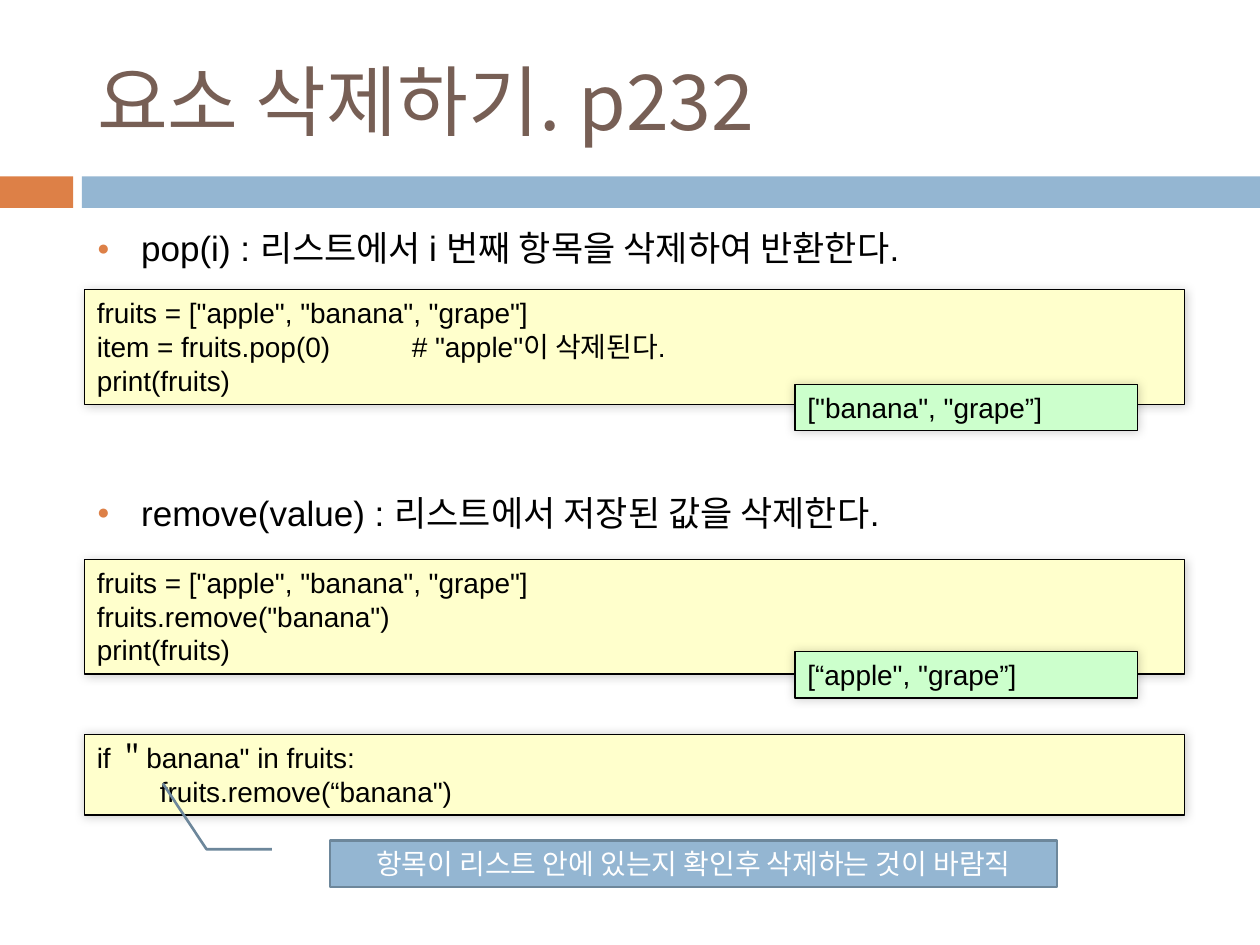
from dataclasses import dataclass

from lxml.etree import SubElement
from pptx import Presentation
from pptx.dml.color import RGBColor as Color
from pptx.enum.shapes import MSO_SHAPE as Preset
from pptx.enum.text import MSO_ANCHOR as Anchor, MSO_AUTO_SIZE as AutoSize, PP_ALIGN as Align
from pptx.oxml.ns import qn
from pptx.util import Inches, Pt


@dataclass(frozen=True)
class Theme:
    title: str = "775F55"
    accent: str = "DD8047"
    band: str = "94B6D2"
    callout_line: str = "6D879B"
    code: str = "FFFFCC"
    output: str = "CCFFCC"
    ink: str = "000000"
    paper: str = "FFFFFF"
    title_font: str = "Noto Sans CJK KR"
    font: str = "Arial"
    title_size: int = 44
    list_size: int = 20
    code_size: int = 16


theme = Theme()


def write(shape, text, font, size, color, **paragraph_format):
    shape.text_frame.text = text
    for paragraph in shape.text_frame.paragraphs:
        for name, value in paragraph_format.items():
            setattr(paragraph, name, value)
        for run in paragraph.runs:
            for name, value in {"name": font, "size": Pt(size)}.items():
                setattr(run.font, name, value)
            run.font.color.rgb = Color.from_string(color)


def add_box(preset, place, fill, line=None, line_width=0.75):
    shape = slide.shapes.add_shape(preset, *map(Inches, place))
    shape.shadow.inherit = False
    shape.fill.solid()
    shape.fill.fore_color.rgb = Color.from_string(fill)
    if line:
        shape.line.color.rgb = Color.from_string(line)
        shape.line.width = Pt(line_width)
    else:
        shape.line.fill.background()
    return shape


presentation = Presentation()
presentation.slide_width, presentation.slide_height = Inches(10), Inches(7.5)
slide = presentation.slides.add_slide(presentation.slide_layouts[1])

# Columns and rows, in inches
left, code_width = 0.67, 8.73
output_left, output_width = 6.31, 2.72
line_height, padding = 0.27, 0.1
band_top, band_height, band_left = 1.4, 0.25, 0.65

add_box(Preset.RECTANGLE, (0, band_top, 0.58, band_height), theme.accent)
add_box(Preset.RECTANGLE, (band_left, band_top, 10 - band_left, band_height), theme.band)

title, body = slide.placeholders
for placeholder, top, height, anchor in (
    (title, 0.25, 1.08, Anchor.MIDDLE),
    (body, 1.75, 4.92, Anchor.TOP),
):
    place = {"left": left, "top": top, "width": 8.92, "height": height}
    for name, value in place.items():
        setattr(placeholder, name, Inches(value))
    placeholder.text_frame.vertical_anchor = anchor
    placeholder.text_frame.auto_size = AutoSize.NONE

write(title, "요소 삭제하기. p232", theme.title_font, theme.title_size, theme.title,
      alignment=Align.LEFT)
write(body, "pop(i) : 리스트에서 i 번째 항목을 삭제하여 반환한다.\n"
            "remove(value) : 리스트에서 저장된 값을 삭제한다.",
      theme.font, theme.list_size, theme.ink)
for paragraph, space_before in zip(body.text_frame.paragraphs, (0, 127)):
    properties = paragraph._p.get_or_add_pPr()
    properties.set("marL", str(Inches(0.35)))
    properties.set("indent", str(-Inches(0.35)))
    bullet_color = SubElement(properties, qn("a:buClr"))
    SubElement(bullet_color, qn("a:srgbClr"), val=theme.accent)
    SubElement(properties, qn("a:buSzPct"), val="60000")
    SubElement(properties, qn("a:buChar"), char="●")
    paragraph.space_before = Pt(space_before)

code_boxes = (
    (2.3, 'fruits = ["apple", "banana", "grape"]\n'
          'item = fruits.pop(0)\t\t# "apple"이 삭제된다.\n'
          'print(fruits)'),
    (4.44, 'fruits = ["apple", "banana", "grape"]\n'
           'fruits.remove("banana")\n'
           'print(fruits)'),
    (5.83, 'if ＂banana" in fruits:\n'
           '\tfruits.remove(“banana")'),
)
output_boxes = ((3.05, '["banana", "grape”]'), (5.17, '[“apple", "grape”]'))

for boxes, box_left, width, fill in (
    (code_boxes, left, code_width, theme.code),
    (output_boxes, output_left, output_width, theme.output),
):
    for top, text in boxes:
        height = padding + line_height * (text.count("\n") + 1)
        box = add_box(Preset.RECTANGLE, (box_left, top, width, height), fill, theme.ink)
        write(box, text, theme.font, theme.code_size, theme.ink, alignment=Align.LEFT)
        frame_format = {"word_wrap": True, "vertical_anchor": Anchor.TOP,
                        "auto_size": AutoSize.SHAPE_TO_FIT_TEXT}
        for name, value in frame_format.items():
            setattr(box.text_frame, name, value)
        effects = box._element.spPr.find(qn("a:effectLst"))
        shadow = SubElement(effects, qn("a:outerShdw"), blurRad=str(Pt(6)), dist="0",
                            dir=str(315 * 60000), algn="ctr", rotWithShape="0")
        shadow_color = SubElement(shadow, qn("a:srgbClr"), val=theme.ink)
        SubElement(shadow_color, qn("a:alpha"), val="20000")

callout = add_box(Preset.LINE_CALLOUT_2, (2.62, 6.67, 5.77, 0.37),
                  theme.band, theme.callout_line, 1.5)
for index, value in enumerate((0.19, -0.08, 0.19, -0.17, -1.22, -0.23)):
    callout.adjustments[index] = value
callout.text_frame.vertical_anchor = Anchor.MIDDLE
write(callout, "항목이 리스트 안에 있는지 확인후 삭제하는 것이 바람직",
      theme.font, theme.code_size, theme.paper, alignment=Align.CENTER)

presentation.save("out.pptx")
